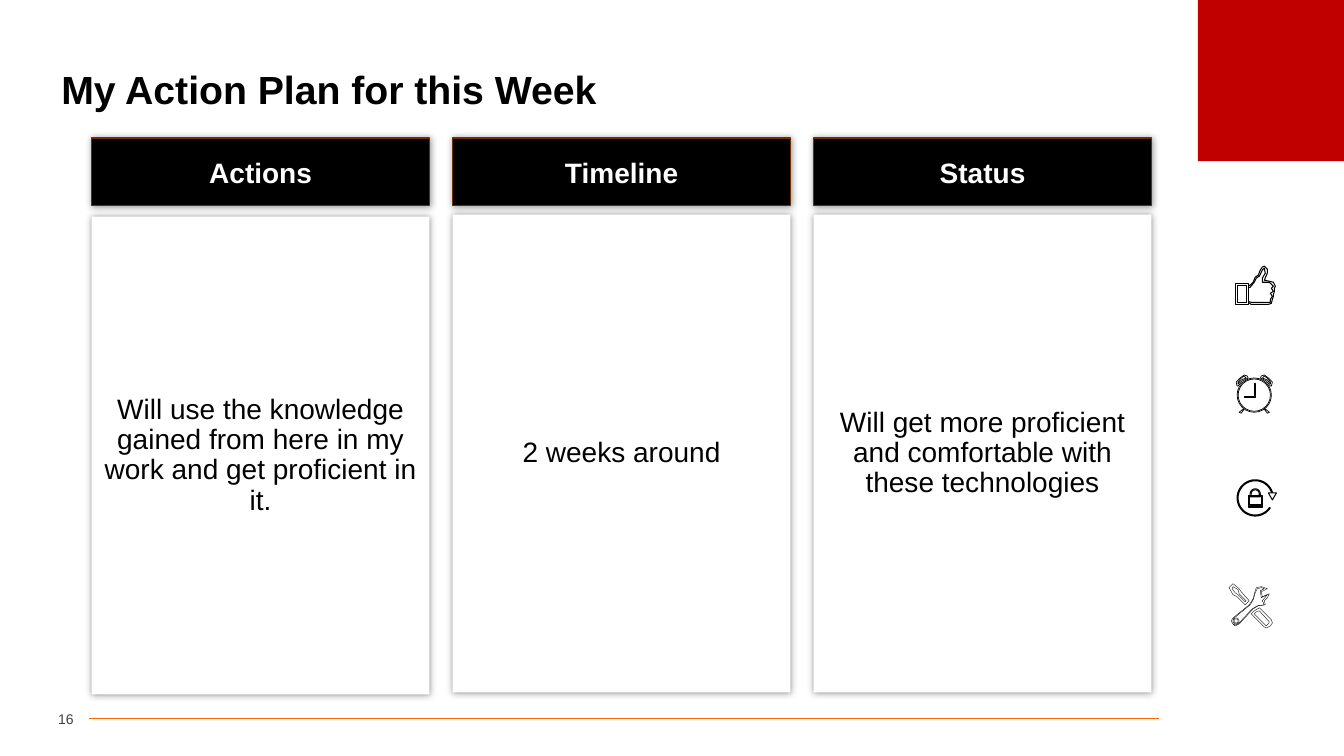
import math
from dataclasses import dataclass

from lxml import etree
from pptx import Presentation
from pptx.dml.color import RGBColor
from pptx.enum.shapes import MSO_CONNECTOR, MSO_SHAPE
from pptx.enum.text import MSO_ANCHOR, PP_ALIGN
from pptx.oxml.ns import qn
from pptx.util import Inches, Pt

RECTANGLE = MSO_SHAPE.RECTANGLE
ELLIPSE = MSO_SHAPE.OVAL
STRAIGHT = MSO_CONNECTOR.STRAIGHT
MIDDLE = MSO_ANCHOR.MIDDLE
LEFT, CENTER, RIGHT = PP_ALIGN.LEFT, PP_ALIGN.CENTER, PP_ALIGN.RIGHT


@dataclass(frozen=True)
class Theme:
    font: str = "Arial"
    black: str = "000000"
    white: str = "FFFFFF"
    red: str = "C00000"
    orange: str = "FF6600"
    brown: str = "702D00"
    gray: str = "404040"
    title_size: float = 28
    column_size: float = 20
    number_size: float = 10


class SlideBuilder:
    def __init__(self, slide, theme):
        self.slide = slide
        self.theme = theme
        self.shapes = slide.shapes

    def paint(self, shape, fill, line=None, width=1):
        shape.shadow.inherit = False
        shape.fill.solid()
        shape.fill.fore_color.rgb = RGBColor.from_string(fill)
        if line:
            shape.line.color.rgb = RGBColor.from_string(line)
            shape.line.width = Pt(width)
        else:
            shape.line.fill.background()

    def preset(self, kind, box, fill, line=None, width=1):
        shape = self.shapes.add_shape(kind, *map(Inches, box))
        self.paint(shape, fill, line, width)
        return shape

    def set_text(self, shape, text, size, color, align, bold=False, spacing=None, before=None):
        frame = shape.text_frame
        frame.word_wrap = True
        frame.vertical_anchor = MIDDLE
        paragraph = frame.paragraphs[0]
        paragraph.text = text
        paragraph.alignment = align
        paragraph.line_spacing = spacing
        paragraph.space_before = before
        font = paragraph.font
        font.name, font.size, font.bold = self.theme.font, Pt(size), bold
        font.color.rgb = RGBColor.from_string(color)

    def text_box(self, box, text, size, color, align, **style):
        shape = self.shapes.add_textbox(*map(Inches, box))
        self.set_text(shape, text, size, color, align, **style)
        return shape

    def glow(self, shape):
        effects = shape._element.spPr.find(qn("a:effectLst"))
        shadow = etree.SubElement(effects, qn("a:outerShdw"), blurRad=str(Pt(5)), dist="0",
                                  dir="0", algn="ctr", rotWithShape="0")
        color = etree.SubElement(shadow, qn("a:srgbClr"), val=self.theme.black)
        etree.SubElement(color, qn("a:alpha"), val="40000")

    def panel(self, box, fill, line=None):
        shape = self.preset(RECTANGLE, box, fill, line)
        self.glow(shape)
        return shape

    def rule(self, start, end, color, width):
        connector = self.shapes.add_connector(STRAIGHT, *map(Inches, start + end))
        connector.line.color.rgb = RGBColor.from_string(color)
        connector.line.width = Pt(width)
        etree.SubElement(connector._element.spPr, qn("a:effectLst"))

    def icon(self, left, top):
        self.shapes = self.slide.shapes.add_group_shape().shapes
        self.preset(ELLIPSE, (left, top, 0.9, 0.9), self.theme.white)

    def outline(self, width, *contours):
        builder = None
        for contour in contours:
            points = [(Inches(x), Inches(y)) for x, y in contour]
            if builder is None:
                builder = self.shapes.build_freeform(*points[0])
            else:
                builder.move_to(*points[0])
            builder.add_line_segments(points[1:], close=True)
        self.paint(builder.convert_to_shape(), self.theme.white, self.theme.black, width)

    def ring(self, width, center, outer, inner):
        for radius in (outer, inner):
            box = (center[0] - radius, center[1] - radius, 2 * radius, 2 * radius)
            self.preset(ELLIPSE, box, self.theme.white, self.theme.black, width)


def frame(left, top, right, bottom):
    return [(left, top), (right, top), (right, bottom), (left, bottom)]


def arc(center, radius, start, end, steps=40):
    angles = [math.radians(start + (end - start) * step / steps) for step in range(steps + 1)]
    return [(center[0] + radius * math.cos(a), center[1] + radius * math.sin(a)) for a in angles]


def mirror(points, axis):
    return [(2 * axis - x, y) for x, y in points]


def draw_thumb(builder):
    builder.icon(11.99, 2.43)
    hand = [(12.38, 2.83), (12.4, 2.83), (12.43, 2.8), (12.45, 2.75), (12.48, 2.73),
            (12.5, 2.68), (12.52, 2.65), (12.54, 2.64), (12.57, 2.67), (12.57, 2.71),
            (12.54, 2.78), (12.59, 2.79), (12.63, 2.8), (12.65, 2.84), (12.64, 2.86),
            (12.64, 2.89), (12.63, 2.92), (12.63, 2.94), (12.62, 2.97), (12.61, 3.01),
            (12.58, 3.02), (12.41, 3.02), (12.38, 3)]
    palm = [(12.38, 2.85), (12.4, 2.85), (12.44, 2.8), (12.46, 2.76), (12.49, 2.74),
            (12.52, 2.68), (12.54, 2.66), (12.55, 2.71), (12.52, 2.76), (12.52, 2.8),
            (12.59, 2.8), (12.63, 2.84), (12.61, 2.86), (12.63, 2.89), (12.6, 2.91),
            (12.62, 2.94), (12.6, 2.97), (12.6, 3), (12.41, 3), (12.38, 2.99)]
    builder.outline(0.75, hand, palm)
    builder.outline(0.75, frame(12.25, 2.81, 12.38, 3.02), frame(12.27, 2.83, 12.36, 3))


def draw_clock(builder):
    builder.icon(11.99, 3.47)
    bell = [(12.6, 3.83), (12.56, 3.78), (12.5, 3.75), (12.51, 3.73), (12.54, 3.72),
            (12.58, 3.75), (12.62, 3.79), (12.61, 3.83)]
    bell_inside = [(12.52, 3.75), (12.57, 3.77), (12.6, 3.81), (12.6, 3.79),
                   (12.58, 3.76), (12.54, 3.73)]
    leg = [(12.57, 4.1), (12.54, 4.06), (12.54, 4.05), (12.59, 4.09)]
    for contours in ((bell, bell_inside), (leg,)):
        builder.outline(0.5, *contours)
        builder.outline(0.5, *(mirror(contour, 12.44) for contour in contours))
    builder.ring(0.5, (12.44, 3.92), 0.17, 0.16)
    builder.outline(0.5, [(12.45, 3.94), (12.34, 3.94), (12.34, 3.93), (12.44, 3.93),
                          (12.44, 3.8), (12.45, 3.8)])


def draw_lock(builder):
    builder.icon(11.99, 4.49)
    center = (12.45, 4.94)
    builder.outline(0.75, arc(center, 0.18, 34, 357) + arc(center, 0.17, 357, 34))
    builder.outline(0.75, [(12.58, 4.89), (12.62, 4.96), (12.66, 4.89)])
    shackle = (12.45, 4.9)
    builder.outline(0.75, [(12.4, 4.93), *arc(shackle, 0.05, 180, 360), (12.5, 4.93)],
                    [(12.41, 4.92), *arc(shackle, 0.04, 180, 360), (12.49, 4.92)])
    builder.outline(0.75, frame(12.38, 4.92, 12.52, 5.03), frame(12.39, 4.93, 12.51, 5.01))


def draw_tools(builder):
    builder.icon(11.96, 5.55)
    handle = [(12.41, 6.09), (12.44, 6.06), (12.49, 6.03), (12.61, 6.15), (12.62, 6.18),
              (12.6, 6.21), (12.56, 6.23), (12.54, 6.22)]
    handle_inside = [(12.44, 6.09), (12.46, 6.07), (12.49, 6.06), (12.59, 6.17),
                     (12.58, 6.19), (12.56, 6.21)]
    blade = [(12.35, 6), (12.27, 5.92), (12.23, 5.9), (12.19, 5.83), (12.23, 5.79),
             (12.29, 5.84), (12.31, 5.87), (12.39, 5.96), (12.37, 5.98)]
    blade_inside = [(12.25, 5.88), (12.28, 5.9), (12.35, 5.97), (12.36, 5.96),
                    (12.29, 5.89), (12.28, 5.85), (12.23, 5.82), (12.22, 5.84)]
    wrench = [(12.51, 5.82), (12.46, 5.83), (12.45, 5.86), (12.43, 5.94), (12.39, 6),
              (12.23, 6.13), (12.21, 6.16), (12.23, 6.19), (12.25, 6.21), (12.29, 6.19),
              (12.43, 6.04), (12.48, 6.01), (12.55, 6), (12.54, 5.96), (12.57, 5.93),
              (12.59, 5.89), (12.52, 5.92), (12.51, 5.87), (12.57, 5.84)]
    wrench_inside = [(12.51, 5.83), (12.47, 5.84), (12.45, 5.88), (12.43, 5.95), (12.4, 6),
                     (12.23, 6.14), (12.23, 6.19), (12.25, 6.2), (12.28, 6.19), (12.42, 6.04),
                     (12.47, 6.01), (12.54, 6), (12.52, 5.96), (12.57, 5.9), (12.51, 5.93),
                     (12.5, 5.86), (12.54, 5.84)]
    for contours in ((handle, handle_inside), (blade, blade_inside), (wrench, wrench_inside)):
        builder.outline(0.25, *contours)
    builder.ring(0.25, (12.26, 6.16), 0.03, 0.02)


def main():
    presentation = Presentation()
    presentation.slide_width, presentation.slide_height = Inches(13.33), Inches(7.5)
    theme = Theme()
    builder = SlideBuilder(presentation.slides.add_slide(presentation.slide_layouts[6]), theme)

    builder.rule((0.88, 7.13), (11.5, 7.13), theme.orange, 0.5)
    builder.preset(RECTANGLE, (11.88, 0, 1.45, 1.6), theme.red)
    builder.text_box((0.51, 0.52, 12.31, 0.78), "My Action Plan for this Week",
                     theme.title_size, theme.black, LEFT, bold=True, spacing=0.9)
    number = builder.text_box((0.33, 6.99, 0.4, 0.29), "16", theme.number_size, theme.gray, RIGHT)
    number.text_frame.margin_left = number.text_frame.margin_right = 0

    columns = [
        ("Actions", 2.15,
         "Will use the knowledge gained from here in my work and get proficient in it."),
        ("Timeline", 2.13, "2 weeks around"),
        ("Status", 2.13, "Will get more proficient and comfortable with these technologies"),
    ]
    lefts = [0.91 + 3.58 * index for index in range(len(columns))]
    for left, (_, top, body) in zip(lefts, columns):
        panel = builder.panel((left, top, 3.35, 4.74), theme.white)
        builder.set_text(panel, body, theme.column_size, theme.black, CENTER,
                         spacing=0.9, before=Pt(10))
    for left, (heading, _, _) in zip(lefts, columns):
        panel = builder.panel((left, 1.37, 3.35, 0.67), theme.black, theme.brown)
        builder.set_text(panel, heading, theme.column_size, theme.white, CENTER, bold=True)

    for draw in (draw_thumb, draw_clock, draw_lock, draw_tools):
        draw(builder)
    presentation.save("out.pptx")


if __name__ == "__main__":
    main()
